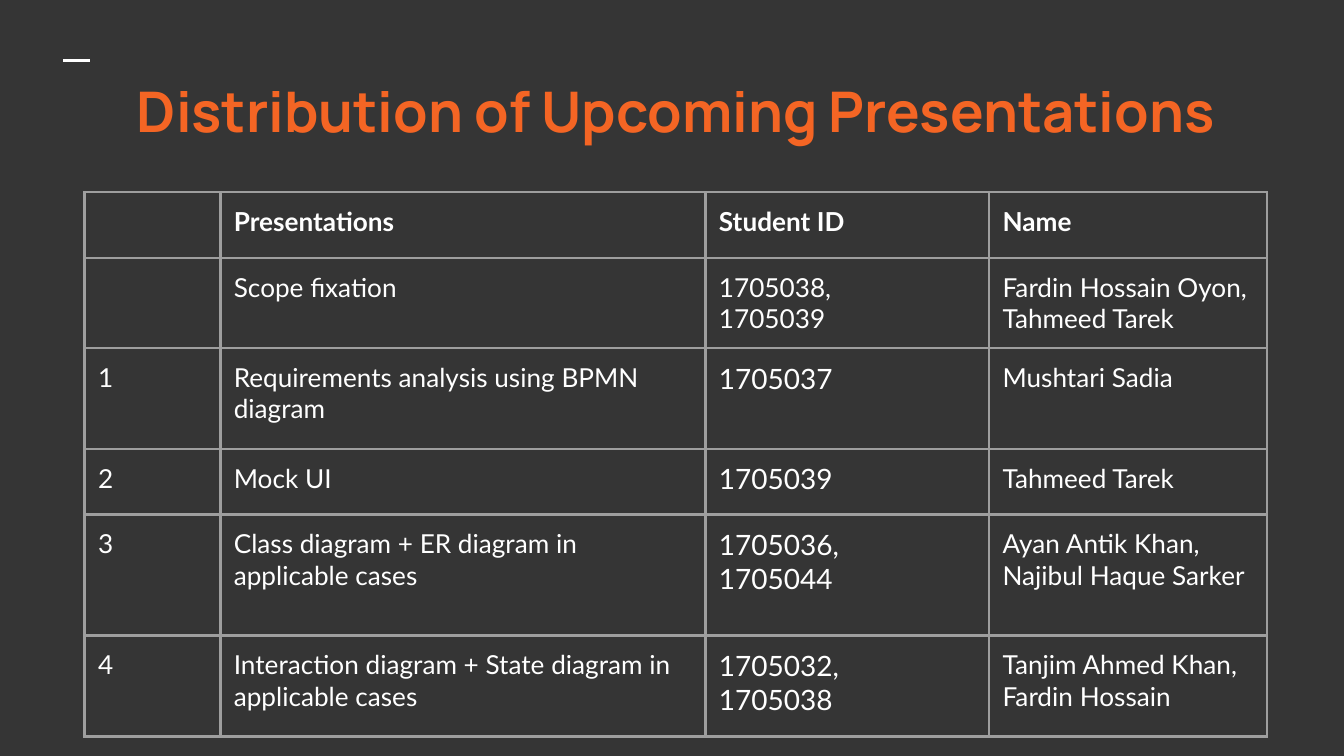
import copy

import pptx
import pptx.dml.color
import pptx.enum.shapes
import pptx.enum.text
import pptx.oxml.ns
import pptx.util
from lxml import etree

Inches = pptx.util.Inches
Pt = pptx.util.Pt

SLIDE_WIDTH = 10
SLIDE_HEIGHT = SLIDE_WIDTH * 9 / 16
BACKGROUND, WHITE, ORANGE, GREY = "353535", "FFFFFF", "F46524", "9E9E9E"
COLUMN_WIDTHS = [1.01, 3.61, 2.11, 2.07]
ROW_HEIGHTS = [0.49, 0.67, 0.75, 0.49, 0.9, 0.75]
LARGE_ID_ROW = 2  # student IDs are larger from this row on
# "\n" starts a paragraph, "\v" a new line within one
ROWS = [
    ("", "Presentations", "Student ID", "Name"),
    ("", "Scope fixation", "1705038,\v1705039", "Fardin Hossain Oyon,\nTahmeed Tarek"),
    ("1", "Requirements analysis using BPMN diagram", "1705037", "Mushtari Sadia"),
    ("2", "Mock UI", "1705039", "Tahmeed Tarek"),
    ("3", "Class diagram + ER diagram in applicable cases", "1705036,\n1705044",
     "Ayan Antik Khan,\nNajibul Haque Sarker"),
    ("4", "Interaction diagram + State diagram in applicable cases", "1705032,\n1705038",
     "Tanjim Ahmed Khan,\nFardin Hossain"),
]


def color(hex_value):
    return pptx.dml.color.RGBColor.from_string(hex_value)


def write_text(frame, text, font="Lato", size=14, fill=WHITE, bold=False,
               align=pptx.enum.text.PP_ALIGN.LEFT):
    """Fill a text frame, giving line breaks the same format as the runs."""
    frame.word_wrap = True
    frame.text = text
    for paragraph in frame.paragraphs:
        paragraph.alignment = align
        for run in paragraph.runs or [paragraph.add_run()]:
            run.font.name = font
            run.font.size = Pt(size)
            run.font.bold = bold
            run.font.color.rgb = color(fill)
        for line_break in paragraph._p.findall(pptx.oxml.ns.qn("a:br")):
            line_break.append(copy.deepcopy(paragraph.runs[0]._r.rPr))


def set_margins(box, margin=0.1):
    box.margin_left = box.margin_right = Inches(margin)
    box.margin_top = box.margin_bottom = Inches(margin)


def add_title(slide, text):
    title = slide.shapes.title
    title.left, title.top = Inches(0.31), Inches(0.47)
    title.width, title.height = Inches(9.44), Inches(0.63)
    frame = title.text_frame
    set_margins(frame)
    frame.auto_size = pptx.enum.text.MSO_AUTO_SIZE.NONE
    frame.vertical_anchor = pptx.enum.text.MSO_ANCHOR.TOP
    write_text(frame, text, font="Manrope", size=30, fill=ORANGE, bold=True,
               align=pptx.enum.text.PP_ALIGN.CENTER)


def add_accent_line(slide, left, top, length):
    line = slide.shapes.add_connector(
        pptx.enum.shapes.MSO_CONNECTOR.STRAIGHT,
        Inches(left), Inches(top), Inches(left + length), Inches(top))
    line.line.color.rgb = color(WHITE)
    line.line.width = Pt(1.5)
    etree.SubElement(line._element.spPr, pptx.oxml.ns.qn("a:effectLst"))


def set_borders(cell, hex_value, width):
    properties = cell._tc.get_or_add_tcPr()
    for index, side in enumerate(("lnL", "lnR", "lnT", "lnB")):
        border = etree.Element(pptx.oxml.ns.qn(f"a:{side}"), w=str(Pt(width)))
        fill = etree.SubElement(border, pptx.oxml.ns.qn("a:solidFill"))
        etree.SubElement(fill, pptx.oxml.ns.qn("a:srgbClr"), val=hex_value)
        properties.insert(index, border)


def add_schedule(slide, left, top):
    table = slide.shapes.add_table(
        len(ROWS), len(COLUMN_WIDTHS), Inches(left), Inches(top),
        Inches(sum(COLUMN_WIDTHS)), Inches(sum(ROW_HEIGHTS))).table
    table.first_row = table.horz_banding = False
    for column, width in zip(table.columns, COLUMN_WIDTHS):
        column.width = Inches(width)
    for row, height in zip(table.rows, ROW_HEIGHTS):
        row.height = Inches(height)
    for row_index, texts in enumerate(ROWS):
        for column_index, text in enumerate(texts):
            cell = table.cell(row_index, column_index)
            cell.fill.background()
            set_margins(cell)
            set_borders(cell, GREY, 1.5)
            large = column_index == 2 and row_index >= LARGE_ID_ROW
            write_text(cell.text_frame, text, size=15 if large else 14,
                       bold=row_index == 0)


def main():
    presentation = pptx.Presentation()
    presentation.slide_width = Inches(SLIDE_WIDTH)
    presentation.slide_height = Inches(SLIDE_HEIGHT)
    slide = presentation.slides.add_slide(presentation.slide_layouts[5])
    slide.background.fill.solid()
    slide.background.fill.fore_color.rgb = color(BACKGROUND)
    add_accent_line(slide, 0.47, 0.45, 0.2)
    add_title(slide, "Distribution of Upcoming Presentations")
    add_schedule(slide, 0.63, 1.43)
    presentation.save("out.pptx")


if __name__ == "__main__":
    main()
